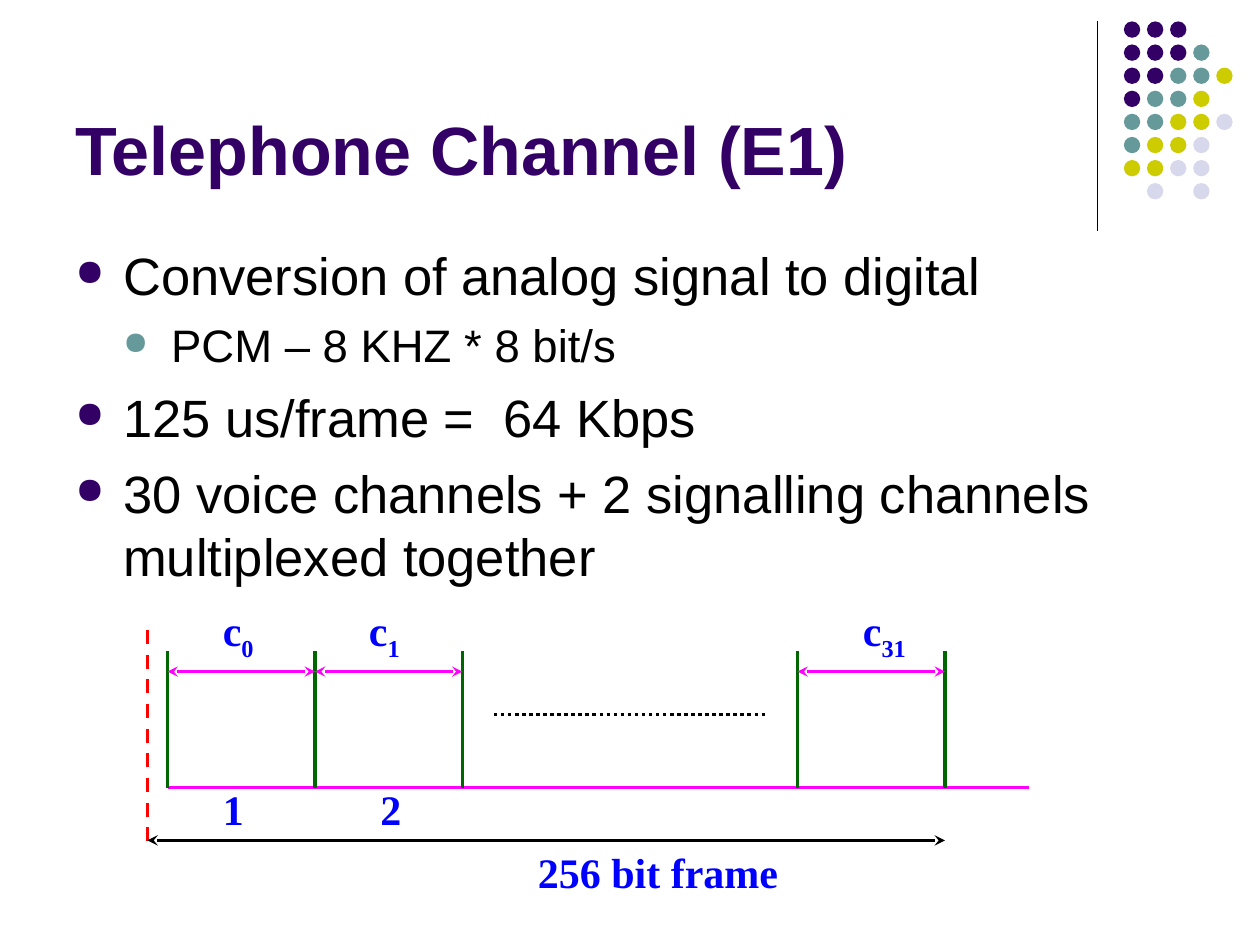
from lxml.etree import SubElement
from pptx import Presentation
from pptx.dml.color import RGBColor
from pptx.enum.dml import MSO_LINE
from pptx.enum.shapes import MSO_CONNECTOR, MSO_SHAPE
from pptx.enum.text import MSO_ANCHOR
from pptx.oxml.ns import qn
from pptx.util import Inches, Pt

COLORS = {
    "purple": "330066", "teal": "669999", "olive": "CCCC00", "lavender": "D8D8EC",
    "black": "000000", "blue": "0000FF", "magenta": "FF00FF", "green": "006600",
    "red": "FF0000",
}


def add_line(start, end, color, width=2, dash=None, arrows=False):
    line = page.shapes.add_connector(
        MSO_CONNECTOR.STRAIGHT, *[Inches(value) for value in (*start, *end)])
    line.line.color.rgb = RGBColor.from_string(COLORS[color])
    line.line.width = Pt(width)
    if dash:
        line.line.dash_style = dash
    if arrows:
        outline = line.line._get_or_add_ln()
        for tag in ("a:headEnd", "a:tailEnd"):
            SubElement(outline, qn(tag), type="stealth")
    SubElement(line._element.spPr, qn("a:effectLst"))


def add_text(left, top, width, height, lines, font, size, color, bold=False):
    box = page.shapes.add_textbox(
        Inches(left), Inches(top), Inches(width), Inches(height))
    frame = box.text_frame
    frame.word_wrap = True
    frame.text = "\n".join(lines)
    for para in frame.paragraphs:
        para.font.name = font
        para.font.size = Pt(size)
        para.font.bold = bold
        for span in para.runs:
            span.font.name = font
            span.font.size = Pt(size)
            span.font.bold = bold
            span.font.color.rgb = RGBColor.from_string(COLORS[color])
    return frame


deck = Presentation()
deck.slide_width = Inches(10)
deck.slide_height = Inches(7.5)
page = deck.slides.add_slide(deck.slide_layouts[6])

# Corner ornament: vertical rule and dot grid
add_line((8.71, 0.17), (8.71, 1.83), "black", 0.75)
dot_colors = {"P": "purple", "T": "teal", "O": "olive", "L": "lavender"}
dot_rows = ["PPP", "PPPT", "PPTTO", "PTTO", "TTOOL", "TOOL", "OOLL", ".L.L"]
dot_pitch = 0.55 / 3
for row, letters in enumerate(dot_rows):
    for column, letter in enumerate(letters):
        if letter == ".":
            continue
        dot = page.shapes.add_shape(
            MSO_SHAPE.OVAL, Inches(8.92 + column * dot_pitch),
            Inches(0.17 + row * dot_pitch), Inches(0.13), Inches(0.13))
        dot.shadow.inherit = False
        dot.fill.solid()
        dot.fill.fore_color.rgb = RGBColor.from_string(COLORS[dot_colors[letter]])
        dot.line.fill.background()

# Title
title = add_text(0.5, 0.13, 8.25, 1.42, ["Telephone Channel (E1)"],
                 "Arial", 39, "purple", bold=True)
title.vertical_anchor = MSO_ANCHOR.BOTTOM

# Bulleted body
bullets = [
    (0, "Conversion of analog signal to digital"),
    (1, "PCM – 8 KHZ * 8 bit/s"),
    (0, "125 us/frame =  64 Kbps"),
    (0, "30 voice channels + 2 signalling channels multiplexed together"),
]
level_styles = [(30, 7.5, "purple"), (26, 6.5, "teal")]
body = add_text(0.5, 1.88, 9, 4.82, [text for _, text in bullets],
                "Arial", 30, "black")
for para, (level, _) in zip(body.paragraphs, bullets):
    size, gap, bullet_color = level_styles[level]
    para.level = level
    para.space_before = Pt(gap)
    para.font.size = Pt(size)
    para.runs[0].font.size = Pt(size)
    props = para._p.get_or_add_pPr()
    props.set("marL", str(Inches(0.38 * (level + 1))))
    props.set("indent", str(Inches(-0.38)))
    # Bullet settings precede the default run properties in the schema
    defaults = props.find(qn("a:defRPr"))
    props.remove(defaults)
    tint = SubElement(props, qn("a:buClr"))
    SubElement(tint, qn("a:srgbClr"), val=COLORS[bullet_color])
    SubElement(props, qn("a:buSzPct"), val="70000")
    SubElement(props, qn("a:buChar"), char="●")
    props.append(defaults)

# Channel names with subscripts
for left, number in [(1.67, "0"), (2.83, "1"), (6.75, "31")]:
    label = add_text(left, 4.75, 0.75, 0.56, ["c"],
                     "Times New Roman", 24, "blue", bold=True)
    span = label.paragraphs[0].add_run()
    span.text = number
    span.font.name = "Times New Roman"
    span.font.size = Pt(24)
    span.font.bold = True
    span.font.color.rgb = RGBColor.from_string(COLORS["blue"])
    span._r.get_or_add_rPr().set("baseline", "-25000")

# Time axis, slot borders and slot widths
add_line((1.33, 6.25), (8.17, 6.25), "magenta")
for x in (1.33, 2.5, 3.67, 6.33, 7.5):
    add_line((x, 5.17), (x, 6.25), "green")
for left, right in [(1.33, 2.5), (2.5, 3.67), (6.33, 7.5)]:
    add_line((left, 5.33), (right, 5.33), "magenta", arrows=True)

# Omitted slots, frame start and frame length
add_line((3.92, 5.67), (6.08, 5.67), "black", dash=MSO_LINE.ROUND_DOT)
add_line((1.17, 5), (1.17, 6.75), "red", dash=MSO_LINE.DASH)
add_line((1.17, 6.67), (7.5, 6.67), "black", arrows=True)

# Slot numbers and frame caption
for left, top, width, text in [(1.67, 6.17, 0.75, "1"), (2.92, 6.17, 0.75, "2"),
                               (4.17, 6.67, 3.08, "256 bit frame")]:
    add_text(left, top, width, 0.5, [text], "Times New Roman", 24, "blue", bold=True)

deck.save("out.pptx")
